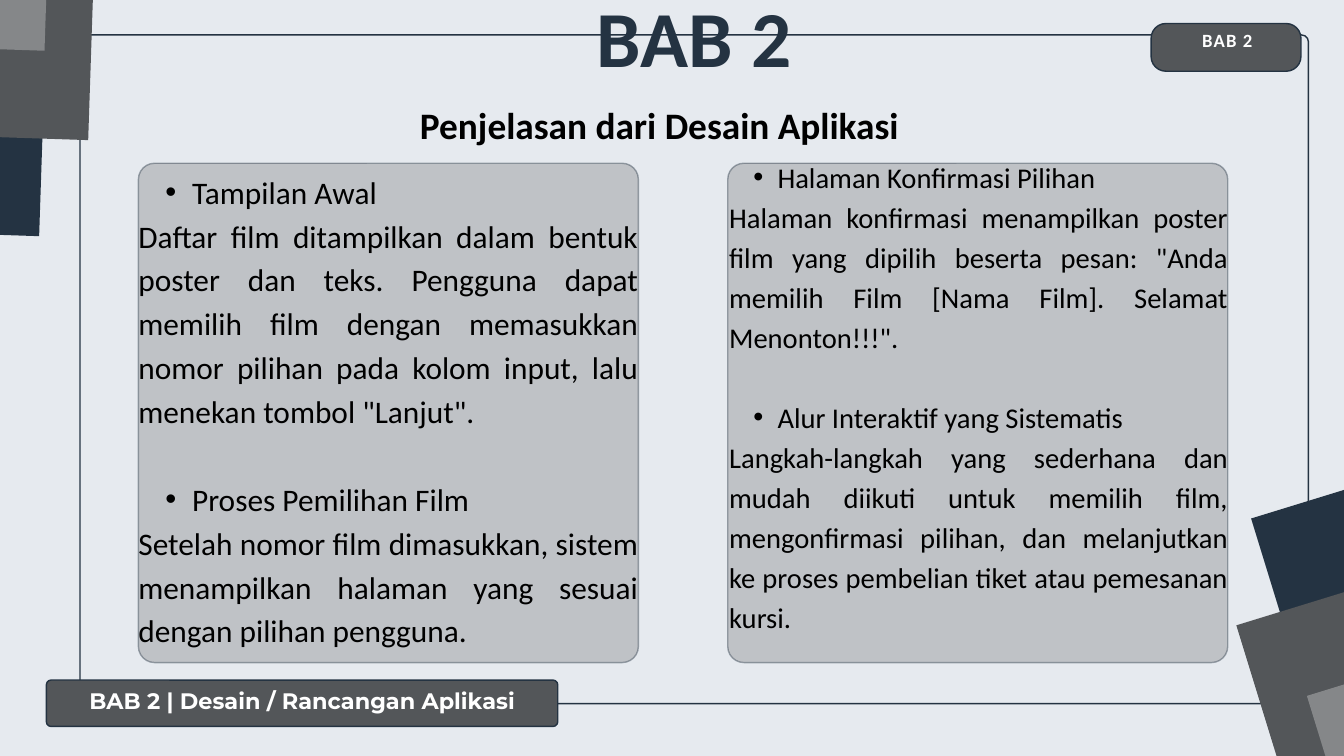
from dataclasses import dataclass

from lxml import etree
from pptx import Presentation
from pptx import util as u
from pptx.dml.color import RGBColor
from pptx.enum import shapes, text
from pptx.oxml.ns import qn

COLUMNS, ROWS = 20, 11.25  # square grid cells
CELL = u.Inches(1)
LEFT, CENTER, JUSTIFY = text.PP_ALIGN.LEFT, text.PP_ALIGN.CENTER, text.PP_ALIGN.JUSTIFY


def cells(*counts):
    return [u.Emu(round(count * CELL)) for count in counts]


def rgb(hex_color):
    return RGBColor.from_string(hex_color)


def set_opacity(fill_format, percent):
    """Make a solid fill, of a shape or of its line, partly transparent."""
    color = fill_format._xPr.find(qn("a:solidFill"))[0]
    etree.SubElement(color, qn("a:alpha"), val=str(percent * 1000))


@dataclass
class Deck:
    slide: object
    navy: str = "243342"
    slate: str = "535659"
    gray: str = "858789"
    paper: str = "E6EAEF"
    white: str = "FFFFFF"
    black: str = "000000"
    body_font: str = "Calibri"
    footer_font: str = "Montserrat"

    def background(self):
        fill = self.slide.background.fill
        fill.solid()
        fill.fore_color.rgb = rgb(self.paper)

    def block(self, kind, box, color):
        shape = self.slide.shapes.add_shape(kind, *cells(*box))
        shape.shadow.inherit = False
        shape.fill.solid()
        shape.fill.fore_color.rgb = rgb(color)
        return shape

    def tile(self, left, top, angle, color):
        """Add a tilted corner square that runs over the slide's edge."""
        square = self.block(shapes.MSO_SHAPE.RECTANGLE, (left, top, 6.07, 6.1), color)
        square.rotation = angle
        square.line.fill.background()

    def rounded(self, box, radius, color, opacity=None):
        shape = self.block(shapes.MSO_SHAPE.ROUNDED_RECTANGLE, box, color)
        shape.adjustments[0] = radius / min(box[2:])
        shape.line.width = u.Pt(1.5)
        shape.line.color.rgb = rgb(self.navy)
        if opacity:
            set_opacity(shape.fill, opacity)
            set_opacity(shape.line.fill, opacity)

    def frame(self, box, inset=0):
        text_frame = self.slide.shapes.add_textbox(*cells(*box)).text_frame
        text_frame.word_wrap = True
        text_frame.margin_left, text_frame.margin_top = cells(inset, inset)
        text_frame.margin_right, text_frame.margin_bottom = cells(inset, inset)
        return text_frame

    def style(self, paragraph, size, spacing, color, align, bold=False, font=None):
        paragraph.alignment = align
        paragraph.line_spacing = u.Pt(spacing)
        paragraph.font.size = u.Pt(size)
        paragraph.font.name = font or self.body_font
        paragraph.font.bold = bold
        paragraph.font.color.rgb = rgb(color)

    def label(self, words, box, size, spacing, color, align=CENTER, tracking=None):
        text_frame = self.frame(box)
        text_frame.auto_size = text.MSO_AUTO_SIZE.SHAPE_TO_FIT_TEXT
        paragraph = text_frame.paragraphs[0]
        paragraph.text = words
        self.style(paragraph, size, spacing, color, align, bold=True)
        if tracking:
            paragraph.font._element.set("spc", str(round(tracking * 100)))

    def footer(self, words, box):
        text_frame = self.frame(box, inset=0.06)
        text_frame.vertical_anchor = text.MSO_ANCHOR.MIDDLE
        paragraph = text_frame.paragraphs[0]
        paragraph.text = words
        self.style(paragraph, 24, 33.6, self.white, CENTER, True, self.footer_font)

    def topics(self, entries, box, size, spacing, indent):
        """Write bulleted topics, each followed by its explanation."""
        text_frame = self.frame(box)
        text_frame.auto_size = text.MSO_AUTO_SIZE.SHAPE_TO_FIT_TEXT
        for index, (topic, explanation) in enumerate(entries):
            heading = text_frame.add_paragraph() if index else text_frame.paragraphs[0]
            heading.text = topic
            heading.level = 1
            if index:
                heading.space_before = u.Pt(spacing)
            self.style(heading, size, spacing, self.black, JUSTIFY)
            self.bullet(heading, indent)
            detail = text_frame.add_paragraph()
            detail.text = explanation
            self.style(detail, size, spacing, self.black, JUSTIFY)

    def bullet(self, paragraph, indent):
        properties = paragraph._p.get_or_add_pPr()
        margin, hanging = cells(2 * indent, -indent)
        properties.set("marL", str(margin))
        properties.set("indent", str(hanging))
        font = etree.Element(qn("a:buFont"), typeface="Arial")
        mark = etree.Element(qn("a:buChar"), char="•")
        default_run = properties.find(qn("a:defRPr"))
        default_run.addprevious(font)
        default_run.addprevious(mark)


LEFT_TOPICS = [
    ("Tampilan Awal",
     "Daftar film ditampilkan dalam bentuk poster dan teks. Pengguna dapat memilih film "
     'dengan memasukkan nomor pilihan pada kolom input, lalu menekan tombol "Lanjut".'),
    ("Proses Pemilihan Film",
     "Setelah nomor film dimasukkan, sistem menampilkan halaman yang sesuai dengan "
     "pilihan pengguna."),
]
RIGHT_TOPICS = [
    ("Halaman Konfirmasi Pilihan",
     "Halaman konfirmasi menampilkan poster film yang dipilih beserta pesan: "
     '"Anda memilih Film [Nama Film]. Selamat Menonton!!!".'),
    ("Alur Interaktif yang Sistematis",
     "Langkah-langkah yang sederhana dan mudah diikuti untuk memilih film, mengonfirmasi "
     "pilihan, dan melanjutkan ke proses pembelian tiket atau pemesanan kursi."),
]


def main():
    presentation = Presentation()
    presentation.slide_width, presentation.slide_height = cells(COLUMNS, ROWS)
    deck = Deck(presentation.slides.add_slide(presentation.slide_layouts[6]))
    deck.background()
    deck.rounded((1.19, 0.52, 18.28, 9.95), 0.1, deck.paper)

    corners = [
        (271.9, [(-5.4, -2.67), (-4.67, -4.1), (-5.32, -5.43)]),
        (72.9, [(19.39, 6.67), (19.17, 8.26), (20.22, 9.31)]),
    ]
    for angle, places in corners:
        for (left, top), color in zip(places, (deck.navy, deck.slate, deck.gray)):
            deck.tile(left, top, angle, color)

    deck.rounded((17.13, 0.35, 2.23, 0.71), 0.22, deck.slate)
    deck.rounded((0.69, 10.12, 7.61, 0.69), 0.07, deck.slate)
    deck.footer("BAB 2 | Desain / Rancangan Aplikasi", (0.69, 9.97, 7.61, 0.84))
    deck.label("BAB 2", (6.73, 0.16, 7.2, 1.6), 85, 78.2, deck.navy)
    deck.label("Penjelasan dari Desain Aplikasi", (6.25, 1.67, 8.17, 0.76),
               40, 36.8, deck.black, LEFT)
    deck.label("BAB 2", (17.08, 0.38, 2.37, 0.49), 20, 28, deck.white, tracking=1.2)

    for panel_left in (2.06, 10.83):
        deck.rounded((panel_left, 2.43, 7.44, 7.43), 0.24, deck.gray, opacity=40)
    deck.topics(LEFT_TOPICS, (2.06, 2.48, 7.44, 8.56), 33.6, 47, 0.4)
    deck.topics(RIGHT_TOPICS, (10.85, 2.29, 7.42, 7.85), 30.6, 42.9, 0.36)
    presentation.save("out.pptx")


if __name__ == "__main__":
    main()
